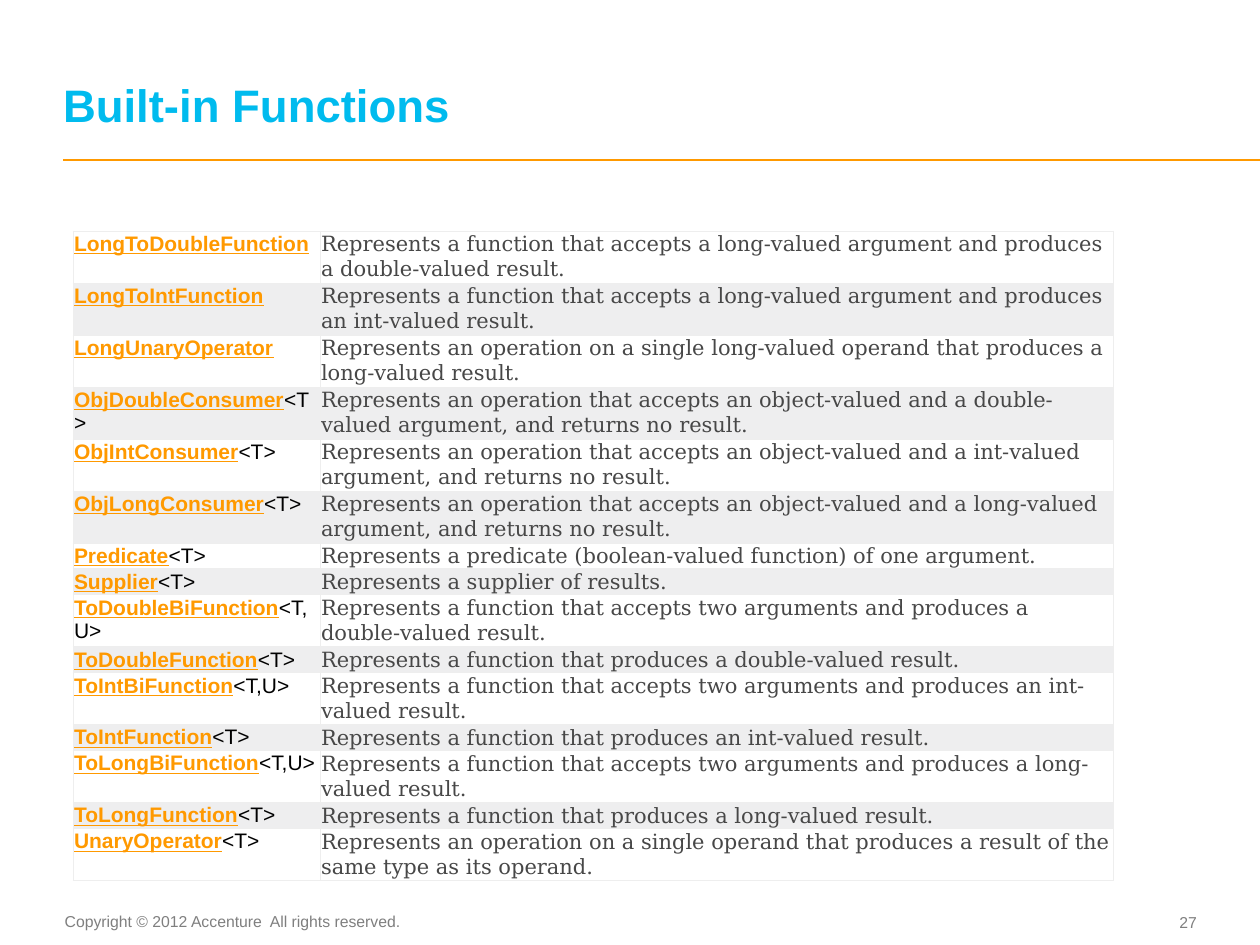
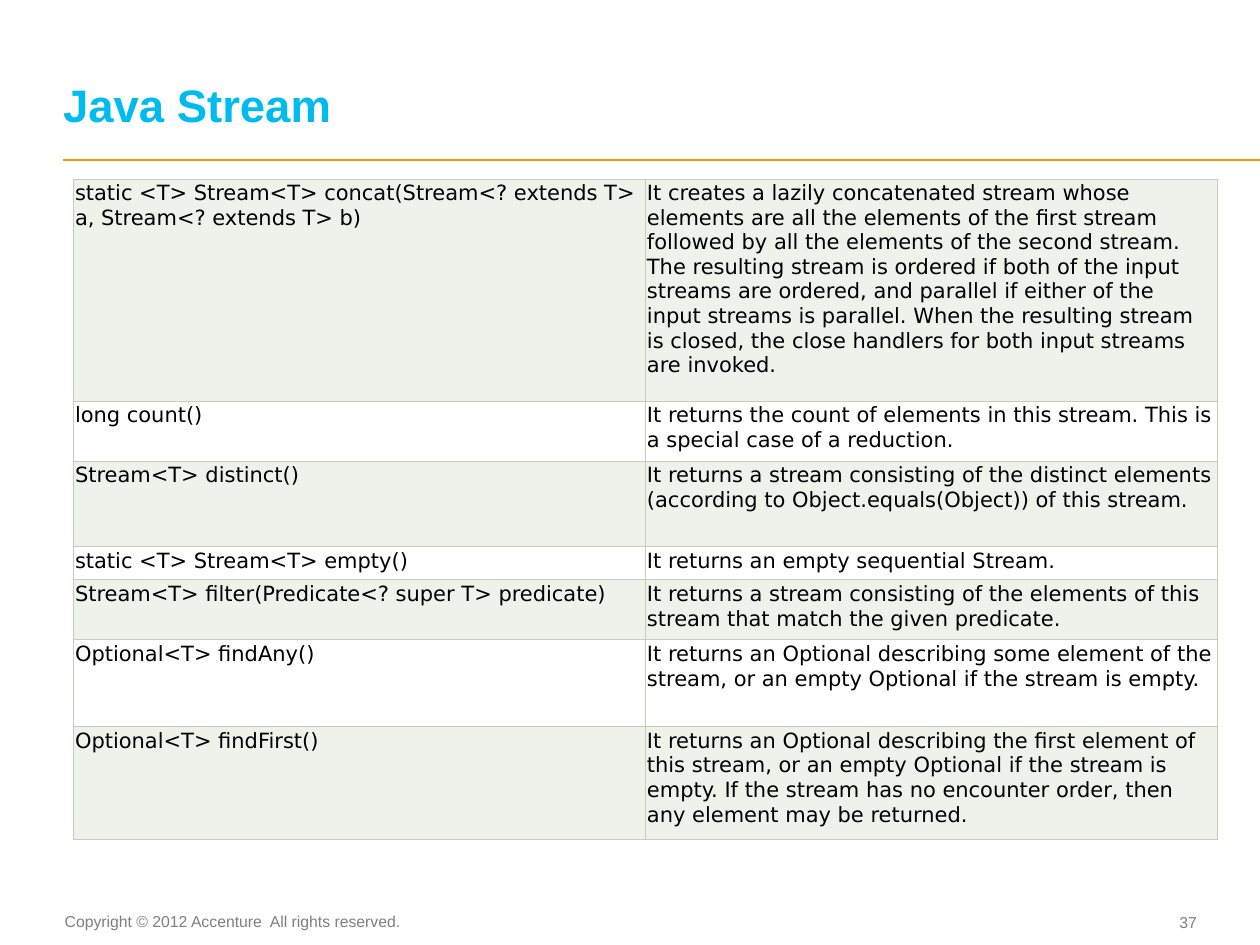
import lxml.etree
import pptx
import pptx.dml.color
import pptx.enum.shapes
import pptx.enum.text
import pptx.oxml.ns
import pptx.util

PX = 914400 / 126

RGB = pptx.dml.color.RGBColor
SKY_BLUE = RGB(0x00, 0xBB, 0xEE)
ORANGE = RGB(0xFF, 0x99, 0x00)
GREY = RGB(0x7F, 0x7F, 0x7F)
DARK_GREY = RGB(0x47, 0x47, 0x47)
BLACK = RGB(0x00, 0x00, 0x00)
WHITE = RGB(0xFF, 0xFF, 0xFF)
PALE_GREY = RGB(0xEE, 0xEE, 0xEF)
BORDER_GREY = RGB(0xEE, 0xEE, 0xEE)
PALE_GREEN = RGB(0xEF, 0xF1, 0xEB)
BORDER_GREEN = RGB(0xC7, 0xCC, 0xBE)

ALIGN = pptx.enum.text.PP_ALIGN
ANCHOR = pptx.enum.text.MSO_ANCHOR

TITLE_FORMAT = {"size": 26, "name": "Arial", "bold": True, "color": SKY_BLUE}
FOOTER_FORMAT = {"size": 9, "name": "Arial", "color": GREY}
LINK_FORMAT = {"size": 12, "name": "Arial", "bold": True, "underline": True, "color": ORANGE}
TYPE_FORMAT = {"size": 12, "name": "Arial", "color": BLACK}
SERIF_FORMAT = {"size": 12, "name": "DejaVu Serif", "color": DARK_GREY}
SANS_FORMAT = {"size": 12, "name": "DejaVu Sans", "color": BLACK}

COPYRIGHT = "Copyright © 2012 Accenture  All rights reserved."

FUNCTIONS = [
    ("LongToDoubleFunction", "Represents a function that accepts a long-valued argument and produces a double-valued result."),
    ("LongToIntFunction", "Represents a function that accepts a long-valued argument and produces an int-valued result."),
    ("LongUnaryOperator", "Represents an operation on a single long-valued operand that produces a long-valued result."),
    ("ObjDoubleConsumer<T>", "Represents an operation that accepts an object-valued and a double-valued argument, and returns no result."),
    ("ObjIntConsumer<T>", "Represents an operation that accepts an object-valued and a int-valued argument, and returns no result."),
    ("ObjLongConsumer<T>", "Represents an operation that accepts an object-valued and a long-valued argument, and returns no result."),
    ("Predicate<T>", "Represents a predicate (boolean-valued function) of one argument."),
    ("Supplier<T>", "Represents a supplier of results."),
    ("ToDoubleBiFunction<T,U>", "Represents a function that accepts two arguments and produces a double-valued result."),
    ("ToDoubleFunction<T>", "Represents a function that produces a double-valued result."),
    ("ToIntBiFunction<T,U>", "Represents a function that accepts two arguments and produces an int-valued result."),
    ("ToIntFunction<T>", "Represents a function that produces an int-valued result."),
    ("ToLongBiFunction<T,U>", "Represents a function that accepts two arguments and produces a long-valued result."),
    ("ToLongFunction<T>", "Represents a function that produces a long-valued result."),
    ("UnaryOperator<T>", "Represents an operation on a single operand that produces a result of the same type as its operand."),
]

STREAM_METHODS = [
    ("static <T> Stream<T> concat(Stream<? extends T> a, Stream<? extends T> b)",
     "It creates a lazily concatenated stream whose elements are all the elements of the first stream "
     "followed by all the elements of the second stream. The resulting stream is ordered if both of the "
     "input streams are ordered, and parallel if either of the input streams is parallel. When the "
     "resulting stream is closed, the close handlers for both input streams are invoked."),
    ("long count()",
     "It returns the count of elements in this stream. This is a special case of a reduction."),
    ("Stream<T> distinct()",
     "It returns a stream consisting of the distinct elements (according to Object.equals(Object)) of this stream."),
    ("static <T> Stream<T> empty()", "It returns an empty sequential Stream."),
    ("Stream<T> filter(Predicate<? super T> predicate)",
     "It returns a stream consisting of the elements of this stream that match the given predicate."),
    ("Optional<T> findAny()",
     "It returns an Optional describing some element of the stream, or an empty Optional if the stream is empty."),
    ("Optional<T> findFirst()",
     "It returns an Optional describing the first element of this stream, or an empty Optional if the stream "
     "is empty. If the stream has no encounter order, then any element may be returned."),
]

# A function row is one or two lines high, depending on its description.
function_rows = []
for signature, description in FUNCTIONS:
    name, bracket, types = signature.partition("<")
    name_runs = [(name, LINK_FORMAT)]
    if bracket:
        name_runs.append((bracket + types, TYPE_FORMAT))
    height = 52 if len(description) > 70 else 26
    function_rows.append((height, name_runs, [(description, SERIF_FORMAT)]))

stream_rows = [
    (height, [(method, SANS_FORMAT)], [(description, SANS_FORMAT)])
    for height, (method, description) in zip([222, 60, 86, 33, 60, 87, 113], STREAM_METHODS)
]

SLIDES = [
    {"title": "Built-in Functions", "number": "27", "top": 231, "columns": [247, 793], "inset": (1, 0),
     "fills": [WHITE, PALE_GREY], "border": BORDER_GREY, "rows": function_rows},
    {"title": "Java Stream", "number": "37", "top": 179, "columns": [572, 572], "inset": (2, 2),
     "fills": [PALE_GREEN, WHITE], "border": BORDER_GREEN, "rows": stream_rows},
]


def px(length):
    return pptx.util.Emu(round(length * PX))


def add_run(paragraph, text, formats):
    run = paragraph.add_run()
    run.text = text
    for key, value in formats.items():
        if key == "color":
            run.font.color.rgb = value
        else:
            setattr(run.font, key, pptx.util.Pt(value) if key == "size" else value)


presentation = pptx.Presentation()
presentation.slide_width = px(1260)
presentation.slide_height = px(945)

for content in SLIDES:
    slide = presentation.slides.add_slide(presentation.slide_layouts[5])

    rule = slide.shapes.add_connector(
        pptx.enum.shapes.MSO_CONNECTOR.STRAIGHT, px(63), px(160), px(1260), px(160))
    rule.line.color.rgb = ORANGE
    rule.line.width = pptx.util.Pt(1)
    lxml.etree.SubElement(rule._element.spPr, pptx.oxml.ns.qn("a:effectLst"))

    title = slide.shapes.title
    title.left, title.top, title.width, title.height = px(63), px(24), px(1130), px(108)
    copyright_box = slide.shapes.add_textbox(px(62), px(906), px(354), px(32))
    number_box = slide.shapes.add_textbox(px(1123), px(905), px(74), px(34))
    for shape, text, formats, alignment, anchor, insets in [
        (title, content["title"], TITLE_FORMAT, ALIGN.LEFT, ANCHOR.BOTTOM, (0, 0, 0, 0)),
        (copyright_box, COPYRIGHT, FOOTER_FORMAT, ALIGN.CENTER, ANCHOR.TOP, (0, 6, 13, 6)),
        (number_box, content["number"], FOOTER_FORMAT, ALIGN.RIGHT, ANCHOR.MIDDLE, (0, 0, 0, 0)),
    ]:
        frame = shape.text_frame
        frame.word_wrap = shape is not copyright_box
        frame.auto_size = pptx.enum.text.MSO_AUTO_SIZE.NONE
        frame.vertical_anchor = anchor
        for side, inset in zip(("left", "top", "right", "bottom"), insets):
            setattr(frame, "margin_" + side, px(inset))
        frame.paragraphs[0].alignment = alignment
        add_run(frame.paragraphs[0], text, formats)
    title.text_frame.paragraphs[0].line_spacing = pptx.util.Pt(26)

    rows = content["rows"]
    table = slide.shapes.add_table(
        len(rows), 2, px(73), px(content["top"]),
        px(sum(content["columns"])), px(sum(row[0] for row in rows))).table
    table.first_row = table.horz_banding = False
    for column, width in zip(table.columns, content["columns"]):
        column.width = px(width)

    near_inset, far_inset = content["inset"]
    for row_index, (height, *cell_runs) in enumerate(rows):
        table.rows[row_index].height = px(height)
        for cell, runs in zip(table.rows[row_index].cells, cell_runs):
            cell.margin_left = cell.margin_top = px(near_inset)
            cell.margin_right = cell.margin_bottom = px(far_inset)
            for text, formats in runs:
                add_run(cell.text_frame.paragraphs[0], text, formats)
            properties = cell._tc.get_or_add_tcPr()
            for edge in ("lnL", "lnR", "lnT", "lnB"):
                line = lxml.etree.SubElement(properties, pptx.oxml.ns.qn("a:" + edge), w="7620")
                fill = lxml.etree.SubElement(line, pptx.oxml.ns.qn("a:solidFill"))
                lxml.etree.SubElement(fill, pptx.oxml.ns.qn("a:srgbClr"), val=str(content["border"]))
            cell.fill.solid()
            cell.fill.fore_color.rgb = content["fills"][row_index % 2]

presentation.save("out.pptx")
